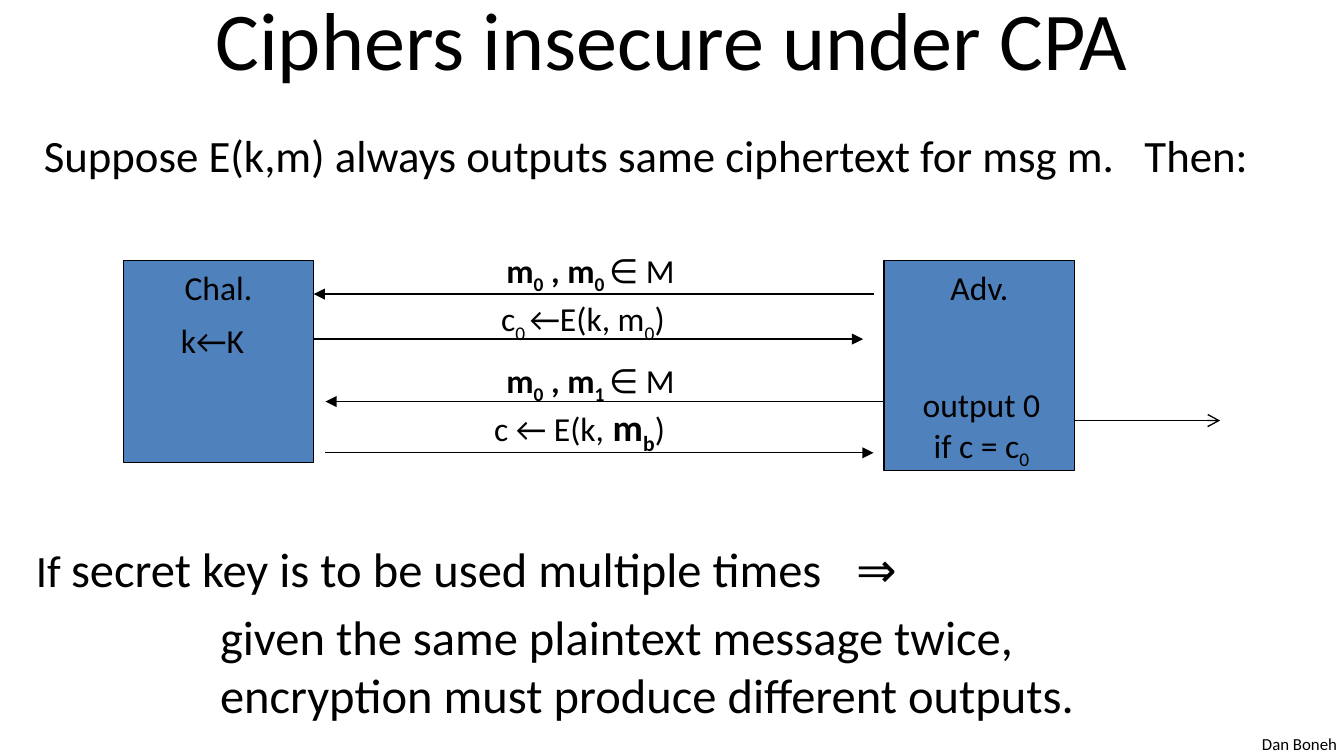
from lxml import etree
from pptx import Presentation
from pptx import util as u
from pptx.dml import color
from pptx.enum import shapes, text
from pptx.oxml import ns

FONT, INK, BLUE = "Calibri", "000000", "4F81BD"
SUB = {"sub": True}
BOLD = {"bold": True}
BOLD_SUB = {"bold": True, "sub": True}


def paint(target, value):
    """Give a fill or line format one solid colour."""
    fill = target if hasattr(target, "solid") else target.fill
    fill.solid()
    fill.fore_color.rgb = color.RGBColor.from_string(value)


def write(para, words, size=18, bold=False, sub=False):
    """Add one formatted span to a paragraph."""
    span = para.add_run()
    span.text = words
    span.font.name, span.font.size, span.font.bold = FONT, u.Pt(size), bold
    paint(span.font, INK)
    if sub:
        span.font._element.set("baseline", "-25000")


def fill_para(para, spans, size=18, align=None, before=0, indent=0, tab=None):
    """Format a paragraph and write its (words, format) spans."""
    props = para._p.get_or_add_pPr()
    if tab:
        stops = etree.SubElement(props, ns.qn("a:tabLst"))
        etree.SubElement(stops, ns.qn("a:tab"), pos=str(u.Cm(tab)), algn="l")
    if indent:
        props.set("marL", str(u.Cm(indent)))
    if align:
        para.alignment = align
    if before:
        para.space_before = u.Pt(before)
    for words, style in spans:
        write(para, words, **{"size": size, **style})


def add_text(page, box, paras, **style):
    """Add a text box; each item of paras is (spans, paragraph format)."""
    frame = page.shapes.add_textbox(*map(u.Cm, box)).text_frame
    frame.word_wrap = True
    for number, (spans, own) in enumerate(paras):
        para = frame.add_paragraph() if number else frame.paragraphs[0]
        fill_para(para, spans, **{**style, **own})


def add_arrow(page, start, end, head="triangle"):
    """Draw a thin arrow from start to end."""
    arrow = page.shapes.add_connector(
        shapes.MSO_CONNECTOR.STRAIGHT, *map(u.Cm, (*start, *end)))
    paint(arrow.line, INK)
    arrow.line.width = u.Pt(0.75)
    etree.SubElement(arrow.line._get_or_add_ln(), ns.qn("a:tailEnd"), type=head)
    etree.SubElement(arrow._element.spPr, ns.qn("a:effectLst"))


def add_title(page, box, words):
    """Place and format the title placeholder."""
    title = page.shapes.title
    title.left, title.top, title.width, title.height = map(u.Cm, box)
    title.text_frame.vertical_anchor = text.MSO_ANCHOR.MIDDLE
    fill_para(title.text_frame.paragraphs[0], [(words, {})], size=44,
              align=text.PP_ALIGN.CENTER)


def add_party(page, box, name):
    """Draw the box of one player with its name at the top."""
    party = page.shapes.add_shape(shapes.MSO_SHAPE.RECTANGLE, *map(u.Cm, box))
    party.shadow.inherit = False
    paint(party.fill, BLUE)
    paint(party.line, INK)
    party.line.width = u.Pt(0.75)
    party.text_frame.vertical_anchor = text.MSO_ANCHOR.TOP
    fill_para(party.text_frame.paragraphs[0], [(name, {})],
              align=text.PP_ALIGN.CENTER)


def add_challenger(page, box):
    """Draw the challenger, who picks a key."""
    left, top, _, _ = box
    add_party(page, box, "Chal.")
    add_text(page, (left + 0.84, top + 0.99, 2, 1), [([("k←K", {})], {})])


def add_adversary(page, box):
    """Draw the adversary, its decision and its output arrow."""
    left, top, width, _ = box
    add_party(page, box, "Adv.")
    add_text(page, (left + 0.44, top + 2.21, 2.8, 1.8),
             [([("output 0", {})], {}),
              ([("if c = c", {}), ("0", SUB)], {})],
             align=text.PP_ALIGN.CENTER)
    add_arrow(page, (left + width, top + 3.02), (left + width + 2.75, top + 3.02),
              head="arrow")


def add_exchange(page, box):
    """Draw the four messages in the gap between the players."""
    left, top, width, _ = box

    def query(second):
        return [("m", BOLD), ("0", BOLD_SUB), (" , m", BOLD),
                (second + " ", BOLD_SUB), ("∈ M", {})]

    big = {"bold": True, "size": 20}
    messages = [
        (0.63, width - 0.2, 0, 3.39, -0.33, query("0")),
        (1.48, 0, width - 0.4, 3.29, 0.58,
         [("c", {}), ("0 ", SUB), ("←E(k, m", {}), ("0", SUB), (")", {})]),
        (2.66, width, 0.22, 3.39, 1.75, query("1")),
        (3.63, 0.22, width - 0.2, 3.16, 2.59,
         [("c ← E(k,", {}), (" m", big), ("b", {**big, "sub": True}), (")", {})]),
    ]
    for line, start, end, across, down, spans in messages:
        add_arrow(page, (left + start, top + line), (left + end, top + line))
        add_text(page, (left + across, top + down, 4.1, 1), [(spans, {})])


def add_statement(page, box):
    """Write the assumption about the cipher."""
    words = "Suppose E(k,m) always outputs same ciphertext for msg m.\tThen:"
    add_text(page, box, [([(words, {})], {"tab": 20.8})], size=24)


def add_conclusion(page, box):
    """Write what a reused key demands."""
    add_text(page, box, [
        ([("If ", {"size": 24}),
          ("secret key is to be used multiple times\t⇒", {})], {"tab": 15.5}),
        ([("given the same plaintext message twice,", {})],
         {"indent": 3.48, "before": 5.2}),
        ([("encryption must produce different outputs.", {})], {"indent": 3.48}),
    ], size=26)


def main():
    """Build the slide and save the deck."""
    deck = Presentation()
    deck.slide_width, deck.slide_height = u.Cm(25.4), u.Cm(14.29)
    page = deck.slides.add_slide(deck.slide_layouts[5])
    add_title(page, (0.64, -0.48, 24.13, 2.38), "Ciphers insecure under CPA")
    add_statement(page, (0.58, 2.29, 24.6, 1.3))
    add_challenger(page, (2.33, 4.93, 3.6, 3.81))
    add_adversary(page, (16.71, 4.93, 3.6, 3.96))
    add_exchange(page, (5.93, 4.93, 10.78, 3.96))
    add_conclusion(page, (0.43, 10.06, 24.7, 3.8))
    add_text(page, (23.6, 13.74, 2, 0.6), [([("Dan Boneh", {})], {})], size=9)
    deck.save("out.pptx")


if __name__ == "__main__":
    main()
